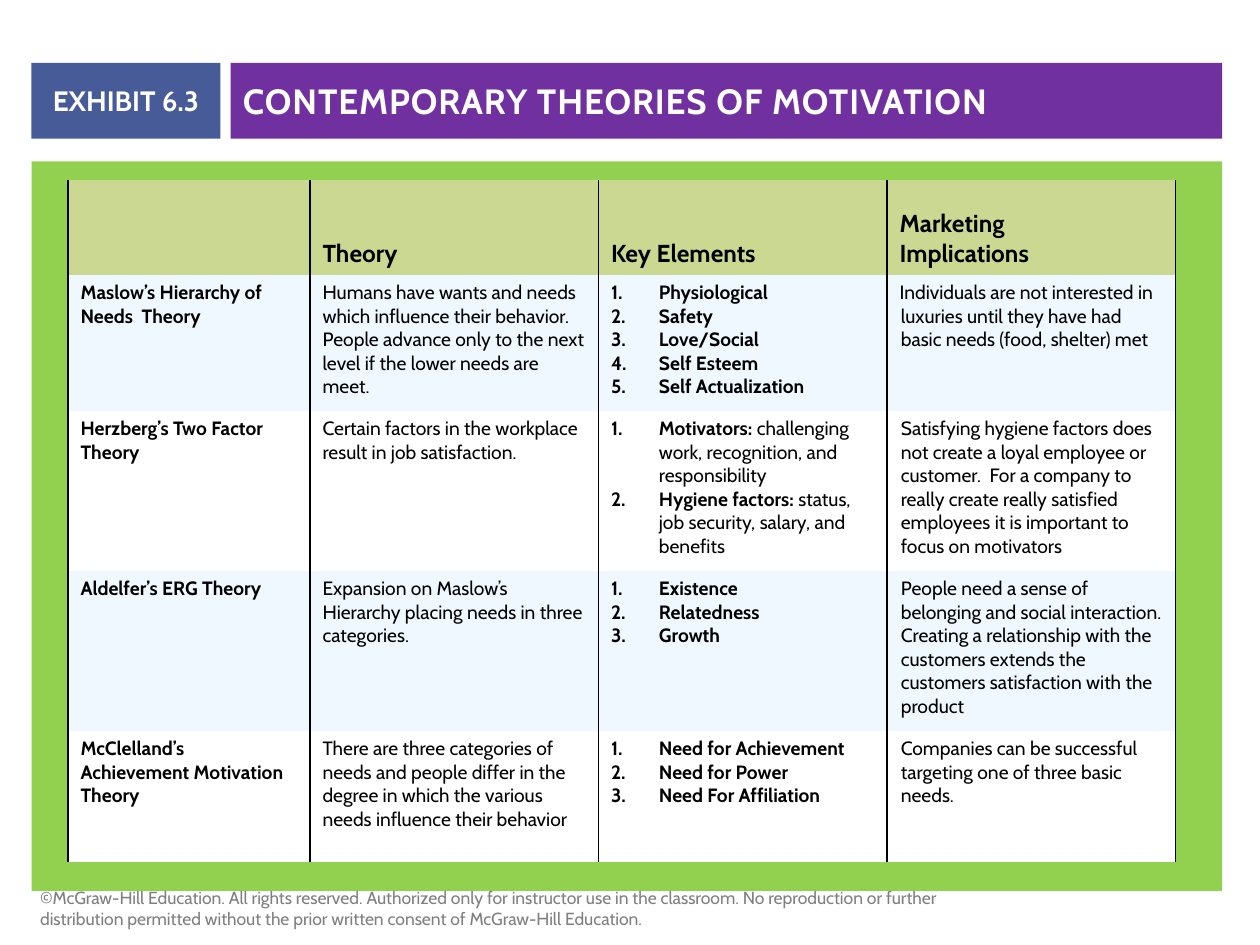
from lxml.etree import SubElement
from pptx import Presentation
from pptx.dml.color import RGBColor
from pptx.enum.shapes import MSO_SHAPE
from pptx.enum.text import MSO_ANCHOR, PP_ALIGN
from pptx.oxml import parse_xml
from pptx.oxml.ns import nsdecls, qn
from pptx.util import Inches, Pt

COLORS = {
    "panel": "92D050", "title": "7030A0", "exhibit": "475B98",
    "header": "CAD891", "band": "EFF8FE", "white": "FFFFFF",
    "black": "000000", "gray": "7F7F7F",
}
FORMATS = {
    "title": {"size": Pt(20), "bold": True, "name": "Cabin"},
    "exhibit": {"size": Pt(16), "bold": True, "name": "Cabin"},
    "header": {"size": Pt(14), "bold": True, "name": "Cabin"},
    "strong": {"size": Pt(11), "bold": True, "name": "Cabin"},
    "body": {"size": Pt(11), "bold": False, "name": "Cabin"},
    "footer": {"size": Pt(10), "bold": False, "name": "Cabin"},
}


def add_run(paragraph, text, style, color="black"):
    run = paragraph.add_run()
    run.text = text
    for attribute, value in FORMATS[style].items():
        setattr(run.font, attribute, value)
    run.font.color.rgb = RGBColor.from_string(COLORS[color])
    return run


def add_block(left, top, width, height, color):
    block = slide.shapes.add_shape(
        MSO_SHAPE.RECTANGLE, Inches(left), Inches(top), Inches(width), Inches(height))
    block.shadow.inherit = False
    block.fill.solid()
    block.fill.fore_color.rgb = RGBColor.from_string(COLORS[color])
    block.line.fill.background()
    block.text_frame.word_wrap = True
    block.text_frame.vertical_anchor = MSO_ANCHOR.MIDDLE
    return block


presentation = Presentation()
presentation.slide_width, presentation.slide_height = Inches(10), Inches(7.5)
slide = presentation.slides.add_slide(presentation.slide_layouts[6])

# Green panel and heading blocks
add_block(0.25, 1.28, 9.45, 5.79, "panel")
title = add_block(1.83, 0.5, 7.87, 0.6, "title").text_frame.paragraphs[0]
title.alignment = PP_ALIGN.LEFT
title_run = add_run(title, "CONTEMPORARY THEORIES OF MOTIVATION", "title", "white")
title_run.font._element.set("spc", "50")
exhibit = add_block(0.25, 0.5, 1.5, 0.6, "exhibit").text_frame.paragraphs[0]
exhibit.alignment = PP_ALIGN.CENTER
add_run(exhibit, "EXHIBIT 6.3", "exhibit", "white")

# Table content: theory name, summary, numbered (strong, plain) elements, implications
headers = [[], ["Theory"], ["Key Elements"], ["Marketing", "Implications"]]
theories = [
    ("Maslow’s Hierarchy of Needs  Theory",
     "Humans have wants and needs which influence their behavior. People advance only "
     "to the next level if the lower needs are meet.",
     [("Physiological", ""), ("Safety", ""), ("Love/Social", ""),
      ("Self Esteem", ""), ("Self Actualization", "")],
     "Individuals are not interested in luxuries until they have had basic needs "
     "(food, shelter) met"),
    ("Herzberg’s Two Factor Theory",
     "Certain factors in the workplace result in job satisfaction.",
     [("Motivators:", " challenging work, recognition, and responsibility"),
      ("Hygiene factors:", " status, job security, salary, and benefits")],
     "Satisfying hygiene factors does not create a loyal employee or customer.  For a "
     "company to really create really satisfied employees it is important to focus on "
     "motivators"),
    ("Aldelfer’s ERG Theory",
     "Expansion on Maslow’s Hierarchy placing needs in three categories.",
     [("Existence", ""), ("Relatedness", ""), ("Growth", "")],
     "People need a sense of belonging and social interaction. Creating a relationship "
     "with the customers extends the customers satisfaction with the product"),
    ("McClelland’s Achievement Motivation Theory",
     "There are three categories of needs and people differ in the degree in which the "
     "various needs influence their behavior",
     [("Need for Achievement", ""), ("Need for Power", ""), ("Need For Affiliation", "")],
     "Companies can be successful targeting one of three basic needs."),
]

# Table grid
column_widths = [1.92, 2.29, 2.29, 2.29]
row_heights = [0.75, 1.08, 1.27, 1.27, 1.04]
table = slide.shapes.add_table(
    len(row_heights), len(column_widths), Inches(0.54), Inches(1.43),
    Inches(sum(column_widths)), Inches(sum(row_heights))).table
table.first_row = table.horz_banding = False
for column, width in zip(table.columns, column_widths):
    column.width = Inches(width)
for row, height in zip(table.rows, row_heights):
    row.height = Inches(height)

# Cell fills, with vertical rules only
vertical_rule = f'<a:solidFill><a:srgbClr val="{COLORS["black"]}"/></a:solidFill>'
borders = {"lnL": vertical_rule, "lnR": vertical_rule,
           "lnT": "<a:noFill/>", "lnB": "<a:noFill/>"}
row_fills = ["header", "band", "white", "band", "white"]
for row, fill in zip(table.rows, row_fills):
    for cell in row.cells:
        cell.fill.solid()
        cell.fill.fore_color.rgb = RGBColor.from_string(COLORS[fill])
        properties = cell._tc.get_or_add_tcPr()
        for position, (tag, paint) in enumerate(borders.items()):
            properties.insert(position, parse_xml(
                f'<a:{tag} {nsdecls("a")} w="12700">{paint}</a:{tag}>'))

# Header row
for column, lines in enumerate(headers):
    cell = table.cell(0, column)
    cell.vertical_anchor = MSO_ANCHOR.BOTTOM
    cell.margin_top = 0
    for index, line in enumerate(lines):
        frame = cell.text_frame
        paragraph = frame.add_paragraph() if index else frame.paragraphs[0]
        add_run(paragraph, line, "header")

# Theory rows
for row, (name, summary, elements, implications) in enumerate(theories, start=1):
    for column, text, style in ((0, name, "strong"), (1, summary, "body"),
                                (3, implications, "body")):
        add_run(table.cell(row, column).text_frame.paragraphs[0], text, style)
    indent = table.cell(row, 3).text_frame.paragraphs[0]._p.get_or_add_pPr()
    indent.set("marL", str(Inches(0.01)))
    indent.set("indent", str(Inches(-0.01 if row == 1 else 0)))

    frame = table.cell(row, 2).text_frame
    for index, (strong, plain) in enumerate(elements):
        paragraph = frame.add_paragraph() if index else frame.paragraphs[0]
        numbering = paragraph._p.get_or_add_pPr()
        numbering.set("marL", str(Inches(0.38)))
        numbering.set("indent", str(Inches(-0.38)))
        SubElement(numbering, qn("a:buAutoNum"), type="arabicPeriod")
        tabs = SubElement(numbering, qn("a:tabLst"))
        SubElement(tabs, qn("a:tab"), pos=str(Inches(0.5)), algn="l")
        add_run(paragraph, strong, "strong")
        if plain:
            add_run(paragraph, plain, "body")

# Copyright line
footer = slide.shapes.add_textbox(
    Inches(0.22), Inches(6.9), Inches(7.64), Inches(0.52)).text_frame
footer.word_wrap = True
footer.vertical_anchor = MSO_ANCHOR.BOTTOM
add_run(footer.paragraphs[0],
        "©McGraw-Hill Education. All rights reserved. Authorized only for instructor use "
        "in the classroom. No reproduction or further distribution permitted without the "
        "prior written consent of McGraw-Hill Education.", "footer", "gray")

presentation.save("out.pptx")
